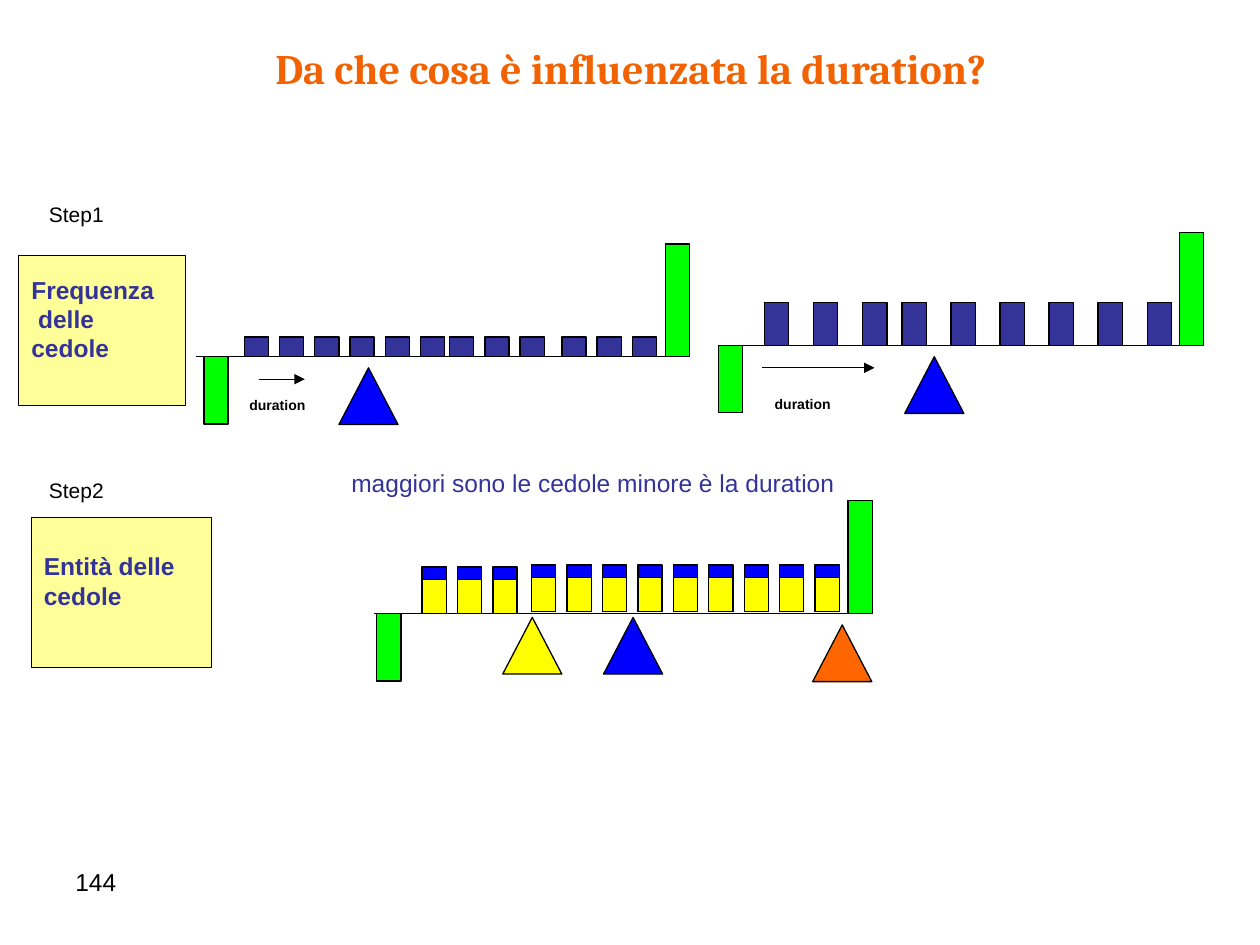
from lxml import etree
from pptx import Presentation
from pptx.dml.color import RGBColor
from pptx.enum.shapes import MSO_CONNECTOR, MSO_SHAPE
from pptx.enum.text import MSO_ANCHOR, PP_ALIGN
from pptx.oxml.ns import qn
from pptx.util import Pt

RECT, TRIANGLE = MSO_SHAPE.RECTANGLE, MSO_SHAPE.ISOSCELES_TRIANGLE
STRAIGHT = MSO_CONNECTOR.STRAIGHT
TOP, MIDDLE = MSO_ANCHOR.TOP, MSO_ANCHOR.MIDDLE
LEFT, CENTER, JUSTIFY = PP_ALIGN.LEFT, PP_ALIGN.CENTER, PP_ALIGN.JUSTIFY

BLACK, GREEN, BLUE, NAVY = "000000", "00FF00", "0000FF", "333399"
YELLOW, CREAM, ORANGE = "FFFF00", "FFFF99", "FF6600"
BAR_W, DEPOSIT_H, REPAYMENT_H = 13.8, 38.6, 64.4
PIVOT_W, PIVOT_H = 33.8, 32.4

TITLE = {"name": "Cambria", "size": 24, "bold": True, "color": "F26200"}
NUMBER = {"name": "Arial", "size": 14, "bold": False, "color": BLACK}
NOTE = {"name": "Arial", "size": 14, "bold": False, "color": NAVY}
STEP = {"name": "Arial", "size": 12, "bold": False, "color": BLACK}
DURATION = {"name": "Arial", "size": 8, "bold": True, "color": BLACK}
FACTOR = {"name": "Arial", "size": 14, "bold": True, "color": NAVY}

LABELS = [
    ("Da che cosa è influenzata la duration?", (34.6, 20.9, 651.6, 36.7), TITLE, CENTER, TOP),
    ("144", (36, 491.8, 167.8, 37.4), NUMBER, LEFT, TOP),
    ("maggiori sono le cedole minore è la duration", (193.7, 262.8, 501, 25.9), NOTE, JUSTIFY, MIDDLE),
    ("Step1", (20.9, 111.6, 51.8, 22.3), STEP, LEFT, TOP),
    ("Step2", (20.9, 269.3, 51.8, 22.3), STEP, LEFT, TOP),
    ("duration", (135.4, 223.2, 57.6, 17.3), DURATION, LEFT, TOP),
    ("duration", (435.6, 222.5, 57.6, 17.3), DURATION, LEFT, TOP),
]
FACTORS = [
    (["Frequenza", " delle", "cedole"], (10.8, 146.2, 95, 85.7)),
    (["Entità delle", "cedole"], (18, 295.9, 103, 85.7)),
]
SCALES = [
    {"base": 203.8, "beam": (112.3, 390.2), "deposit": 116.6, "repayment": 380.2,
     "layers": [(NAVY, 11.2)], "step": 20.1,
     "runs": [(139.7, 6, 0), (257, 3, 0), (321.1, 3, 0)],
     "pivots": [(193.7, 210.2, BLUE)]},
    {"base": 197.3, "beam": (410.4, 687.6), "deposit": 410.4, "repayment": 673.9,
     "layers": [(NAVY, 24.5)], "step": 28,
     "runs": [(437, 3, 0), (515.5, 6, 0)],
     "pivots": [(517, 203.8, BLUE)]},
    {"base": 350.6, "beam": (213.8, 491.8), "deposit": 215.3, "repayment": 484.6,
     "layers": [(BLUE, 26.6), (YELLOW, 19.4)], "step": 20.25,
     "runs": [(241.2, 3, 0), (303.8, 9, 1.1)],
     "pivots": [(287.3, 352.8, YELLOW), (344.9, 352.8, BLUE), (464.4, 357.1, ORANGE)]},
]
ARROWS = [(148.3, 174.2, 216.7), (435.6, 499.7, 210.2)]


def rgb(value):
    return RGBColor.from_string(value)


def add_lines(sp, lines, fmt, align, anchor):
    tf = sp.text_frame
    tf.word_wrap = True
    tf.vertical_anchor = anchor
    for i, line in enumerate(lines):
        p = tf.paragraphs[0] if i == 0 else tf.add_paragraph()
        p.alignment = align
        r = p.add_run()
        r.text = line
        for key, value in fmt.items():
            if key == "color":
                r.font.color.rgb = rgb(value)
            else:
                setattr(r.font, key, Pt(value) if key == "size" else value)
    return tf


def add_figure(s, kind, box, fill, width=0.75):
    sp = s.shapes.add_shape(kind, *map(Pt, box))
    sp.shadow.inherit = False
    sp.fill.solid()
    sp.fill.fore_color.rgb = rgb(fill)
    sp.line.color.rgb = rgb(BLACK)
    sp.line.width = Pt(width)
    return sp


def add_line(s, x1, x2, y, arrow=False):
    cx = s.shapes.add_connector(STRAIGHT, Pt(x1), Pt(y), Pt(x2), Pt(y))
    cx.line.color.rgb = rgb(BLACK)
    cx.line.width = Pt(0.75)
    if arrow:
        etree.SubElement(cx.line._get_or_add_ln(), qn("a:tailEnd"), type="triangle")
    etree.SubElement(cx._element.spPr, qn("a:effectLst"))


def add_scale(s, scale):
    base = scale["base"]
    add_line(s, *scale["beam"], base)
    add_figure(s, RECT, (scale["deposit"], base, BAR_W, DEPOSIT_H), GREEN)
    add_figure(s, RECT, (scale["repayment"], base - REPAYMENT_H, BAR_W, REPAYMENT_H), GREEN)
    for start, count, lift in scale["runs"]:
        for i in range(count):
            for color, height in scale["layers"]:
                box = (start + i * scale["step"], base - lift - height, BAR_W, height)
                add_figure(s, RECT, box, color)
    for x, y, color in scale["pivots"]:
        add_figure(s, TRIANGLE, (x, y, PIVOT_W, PIVOT_H), color)


def main():
    prs = Presentation()
    prs.slide_width, prs.slide_height = Pt(720), Pt(540)
    s = prs.slides.add_slide(prs.slide_layouts[6])
    for text, box, fmt, align, anchor in LABELS:
        add_lines(s.shapes.add_textbox(*map(Pt, box)), [text], fmt, align, anchor)
    for lines, box in FACTORS:
        sp = add_figure(s, RECT, box, CREAM, 0.5)
        tf = add_lines(sp, lines, FACTOR, LEFT, MIDDLE)
        tf.margin_bottom = Pt(17.4)
    for scale in SCALES:
        add_scale(s, scale)
    for x1, x2, y in ARROWS:
        add_line(s, x1, x2, y, arrow=True)
    prs.save("out.pptx")


if __name__ == "__main__":
    main()
